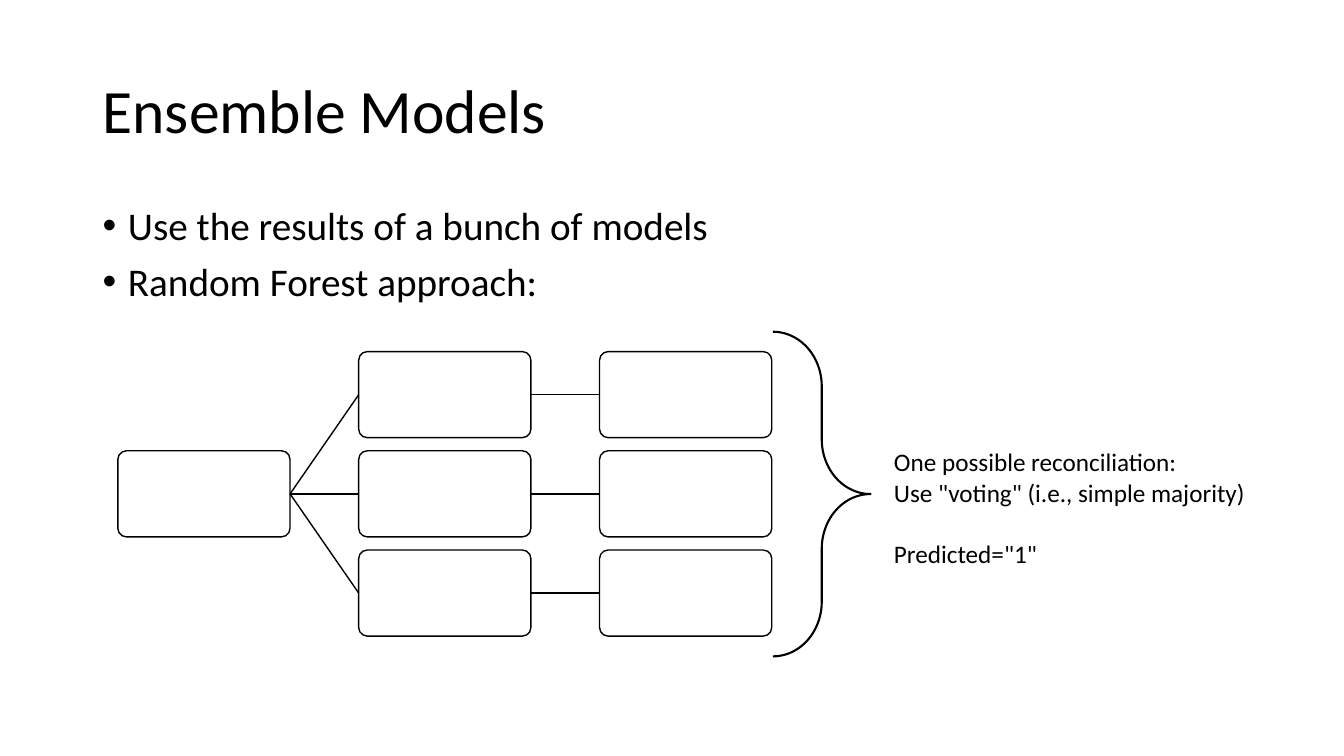
from lxml.etree import SubElement
from pptx import Presentation
from pptx.dml.color import RGBColor
from pptx.enum.shapes import MSO_CONNECTOR, MSO_SHAPE
from pptx.enum.text import MSO_ANCHOR, MSO_AUTO_SIZE, PP_ALIGN
from pptx.oxml.ns import qn
from pptx.util import Cm, Pt

BLACK, WHITE = "000000", "FFFFFF"
LEFT, TOP = 2.97, 8.86
STEP_X, STEP_Y = 6.07, 2.5
WIDTH, HEIGHT = 4.34, 2.17


def color(code):
    """Turn a hex string into a colour."""
    return RGBColor.from_string(code)


def place(shape, left, top, width, height):
    """Move and size a shape, in centimetres."""
    shape.left, shape.top = Cm(left), Cm(top)
    shape.width, shape.height = Cm(width), Cm(height)


def write(shape, lines, size=18, font="Calibri", ink=BLACK, anchor=MSO_ANCHOR.TOP,
          spacing=1.0, before=(0,), bullet=False):
    """Fill a shape with formatted paragraphs, cycling the space before each."""
    frame = shape.text_frame
    frame.word_wrap = True
    frame.auto_size = MSO_AUTO_SIZE.NONE
    frame.vertical_anchor = anchor
    frame.text = "\n".join(lines)
    for index, para in enumerate(frame.paragraphs):
        para.alignment = PP_ALIGN.LEFT
        para.line_spacing = spacing
        para.space_before = Pt(before[index % len(before)])
        if bullet:
            props = para._p.get_or_add_pPr()
            props.set("marL", str(Cm(0.64)))
            props.set("indent", str(-Cm(0.64)))
            SubElement(props, qn("a:buFont"), typeface="Arial")
            SubElement(props, qn("a:buChar"), char="•")
        for run in para.runs:
            run.font.name = font
            run.font.size = Pt(size)
            run.font.color.rgb = color(ink)


def add_box(slide, col, row):
    """Add one rounded model box at a grid position."""
    box = slide.shapes.add_shape(
        MSO_SHAPE.ROUNDED_RECTANGLE, Cm(LEFT + col * STEP_X), Cm(TOP + row * STEP_Y),
        Cm(WIDTH), Cm(HEIGHT))
    box.adjustments[0] = 0.1
    box.shadow.inherit = False
    box.fill.solid()
    box.fill.fore_color.rgb = color(WHITE)
    box.line.color.rgb = color(BLACK)
    box.line.width = Pt(1)
    return box


def add_link(slide, start, end):
    """Join the right side of one box to the left side of another."""
    link = slide.shapes.add_connector(MSO_CONNECTOR.STRAIGHT, 0, 0, 0, 0)
    link.begin_connect(start, 3)
    link.end_connect(end, 1)
    link.line.color.rgb = color(BLACK)
    link.line.width = Pt(1)
    SubElement(link._element.spPr, qn("a:effectLst"))


def add_brace(slide):
    """Add the brace that gathers the model results."""
    brace = slide.shapes.add_shape(
        MSO_SHAPE.RIGHT_BRACE, Cm(19.48), Cm(8.36), Cm(2.46), Cm(8.18))
    brace.adjustments[0] = 0.56
    brace.adjustments[1] = 0.5
    brace.shadow.inherit = False
    brace.fill.background()
    brace.line.color.rgb = color(BLACK)
    brace.line.width = Pt(1.5)


def add_tree(slide):
    """Add the root box and its three rows of linked boxes."""
    root = add_box(slide, 0, 1)
    for row in range(3):
        model, result = add_box(slide, 1, row), add_box(slide, 2, row)
        add_link(slide, root, model)
        add_link(slide, model, result)


def main():
    """Build and save the slide."""
    deck = Presentation()
    deck.slide_width, deck.slide_height = Cm(33.87), Cm(19.05)
    slide = deck.slides.add_slide(deck.slide_layouts[1])
    title, body = slide.placeholders
    place(title, 2.33, 1.01, 29.21, 3.68)
    write(title, ["Ensemble Models"], size=44, anchor=MSO_ANCHOR.MIDDLE, spacing=0.9)
    place(body, 2.33, 5.07, 29.21, 12.09)
    write(body, ["Use the results of a bunch of models", "Random Forest approach:"],
          size=28, spacing=0.9, before=(10,), bullet=True)
    add_tree(slide)
    note = slide.shapes.add_textbox(Cm(22.28), Cm(11.13), Cm(9.6), Cm(3.33))
    write(note, ["One possible reconciliation:",
                 "Use \"voting\" (i.e., simple majority)",
                 "Predicted=\"1\""], before=(0, 0, 22))
    add_brace(slide)
    deck.save("out.pptx")


if __name__ == "__main__":
    main()
